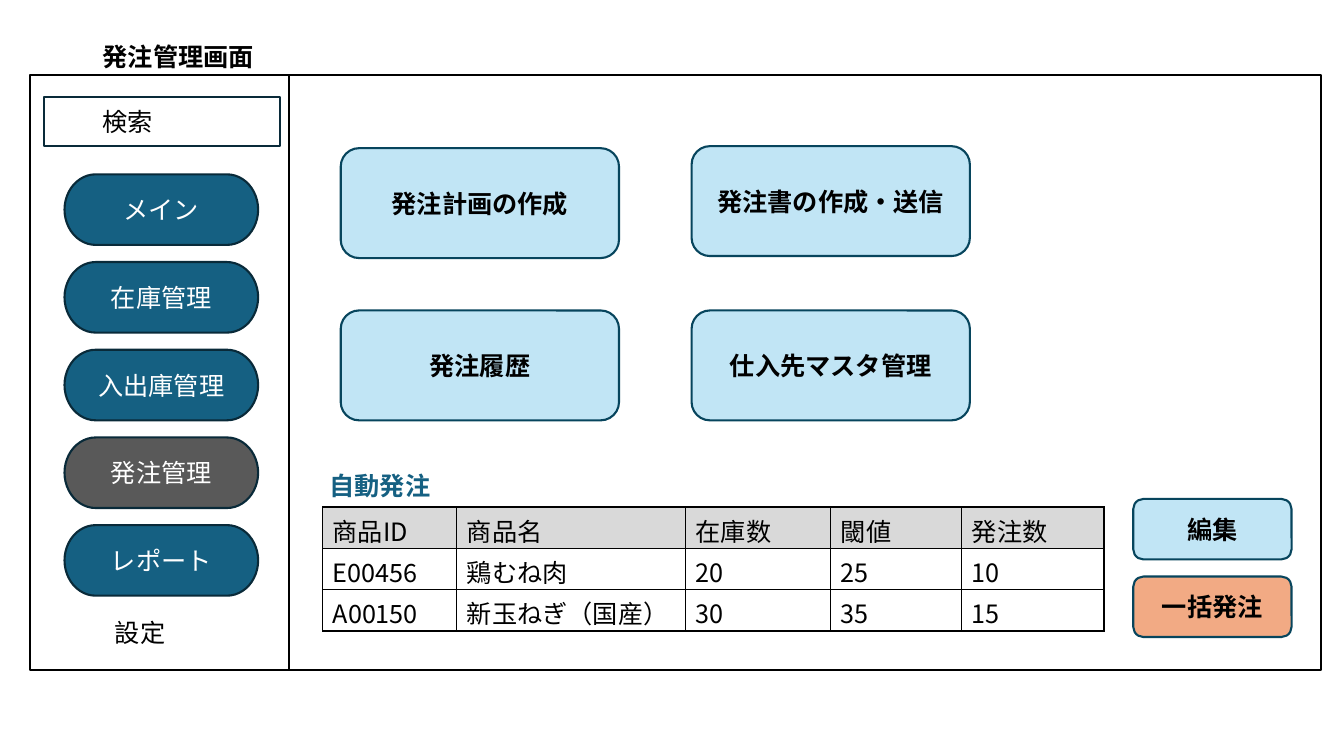
"""Builds the order management screen mock-up slide."""
from lxml import etree
from pptx import Presentation
from pptx.dml.color import RGBColor
from pptx.enum.shapes import MSO_CONNECTOR, MSO_SHAPE
from pptx.enum.text import MSO_ANCHOR, PP_ALIGN
from pptx.oxml.ns import qn
from pptx.util import Inches, Pt

RECTANGLE = MSO_SHAPE.RECTANGLE
ROUNDED = MSO_SHAPE.ROUNDED_RECTANGLE
PILL = MSO_SHAPE.FLOWCHART_TERMINATOR
STRAIGHT = MSO_CONNECTOR.STRAIGHT
TOP, MIDDLE = MSO_ANCHOR.TOP, MSO_ANCHOR.MIDDLE
LEFT, CENTER = PP_ALIGN.LEFT, PP_ALIGN.CENTER

FONT = "Noto Sans CJK JP"
COLORS = {
    "black": "000000", "white": "FFFFFF", "teal": "156082", "navy": "092A39",
    "selected": "595959", "card": "C1E5F5", "card_line": "07455D",
    "order": "F2AA84", "header": "D9D9D9",
}

TITLE = "発注管理画面"
MENU = ["メイン", "在庫管理", "入出庫管理", "発注管理", "レポート"]
SELECTED_MENU = "発注管理"
LABELS = [
    ("設定", (1.04, 6.08, 1.22, 0.4), "black", False),
    ("検索", (0.92, 1.01, 1.22, 0.4), "black", False),
    ("自動発注", (3.17, 4.62, 1.82, 0.4), "teal", True),
]
CARDS = [
    ("発注計画の作成", 3.38, 1.47),
    ("発注書の作成・送信", 6.86, 1.45),
    ("発注履歴", 3.38, 3.08),
    ("仕入先マスタ管理", 6.86, 3.08),
]
ACTIONS = [("編集", "card"), ("一括発注", "order")]
ORDERS = [
    ["商品ID", "商品名", "在庫数", "閾値", "発注数"],
    ["E00456", "鶏むね肉", "20", "25", "10"],
    ["A00150", "新玉ねぎ（国産）", "30", "35", "15"],
]
COLUMN_WIDTHS = [1.33, 2.27, 1.44, 1.3, 1.41]
ROW_HEIGHT = 0.41
FRAME = (0.3, 0.74, 12.8, 5.91)
DIVIDER_X = 2.87


def color(name):
    return RGBColor.from_string(COLORS[name])


def write(text_frame, text, color_name, bold=False, align=LEFT):
    paragraph = text_frame.paragraphs[0]
    paragraph.text = text
    paragraph.alignment = align
    font = paragraph.font
    font.name, font.size, font.bold = FONT, Pt(18), bold
    font.color.rgb = color(color_name)
    properties = paragraph._p.pPr.find(qn("a:defRPr"))
    etree.SubElement(properties, qn("a:ea"), typeface=FONT)
    return paragraph


def add_label(slide, text, box, color_name, bold, anchor=TOP):
    shape = slide.shapes.add_textbox(*map(Inches, box))
    shape.text_frame.word_wrap = True
    shape.text_frame.vertical_anchor = anchor
    return write(shape.text_frame, text, color_name, bold)


def add_box(slide, kind, box, line, fill=None):
    shape = slide.shapes.add_shape(kind, *map(Inches, box))
    shape.shadow.inherit = False
    if fill:
        shape.fill.solid()
        shape.fill.fore_color.rgb = color(fill)
    else:
        shape.fill.background()
    shape.line.color.rgb = color(line)
    shape.line.width = Pt(1.5)
    return shape


def add_button(slide, kind, box, text, fill, line, text_color, bold):
    shape = add_box(slide, kind, box, line, fill)
    shape.text_frame.word_wrap = True
    shape.text_frame.vertical_anchor = MIDDLE
    write(shape.text_frame, text, text_color, bold, CENTER)


def add_borders(cell):
    properties = cell._tc.get_or_add_tcPr()
    for side in ("a:lnL", "a:lnR", "a:lnT", "a:lnB"):
        border = etree.SubElement(properties, qn(side), w=str(Pt(1)))
        fill = etree.SubElement(border, qn("a:solidFill"))
        etree.SubElement(fill, qn("a:srgbClr"), val=COLORS["black"])


def add_orders(slide):
    size = (sum(COLUMN_WIDTHS), ROW_HEIGHT * len(ORDERS))
    table = slide.shapes.add_table(
        len(ORDERS), len(COLUMN_WIDTHS), *map(Inches, (3.2, 5.03, *size))
    ).table
    table.first_row = table.horz_banding = False
    for column, width in zip(table.columns, COLUMN_WIDTHS):
        column.width = Inches(width)
    for row_index, values in enumerate(ORDERS):
        table.rows[row_index].height = Inches(ROW_HEIGHT)
        for column_index, text in enumerate(values):
            cell = table.cell(row_index, column_index)
            write(cell.text_frame, text, "black")
            add_borders(cell)
            cell.fill.solid()
            cell.fill.fore_color.rgb = color("white" if row_index else "header")


def main():
    presentation = Presentation()
    presentation.slide_width = Inches(13.33)
    presentation.slide_height = Inches(7.5)
    slide = presentation.slides.add_slide(presentation.slide_layouts[6])

    title = add_label(slide, TITLE, (0.92, 0.4, 11.5, 0.35), "black", True, MIDDLE)
    title.line_spacing = 0.9
    add_box(slide, RECTANGLE, FRAME, "black")
    top, bottom = FRAME[1], FRAME[1] + FRAME[3]
    divider = slide.shapes.add_connector(
        STRAIGHT, *map(Inches, (DIVIDER_X, top, DIVIDER_X, bottom))
    )
    divider.line.color.rgb = color("black")
    divider.line.width = Pt(1.5)
    etree.SubElement(divider._element.spPr, qn("a:effectLst"))
    add_box(slide, RECTANGLE, (0.44, 0.96, 2.34, 0.49), "navy")

    for index, text in enumerate(MENU):
        box = (0.64, 1.73 + 0.87 * index, 1.92, 0.7)
        fill = "selected" if text == SELECTED_MENU else "teal"
        add_button(slide, PILL, box, text, fill, "navy", "white", False)
    for text, left, card_top in CARDS:
        box = (left, card_top, 2.76, 1.09)
        add_button(slide, ROUNDED, box, text, "card", "card_line", "black", True)
    for index, (text, fill) in enumerate(ACTIONS):
        box = (11.24, 4.95 + 0.77 * index, 1.57, 0.6)
        add_button(slide, ROUNDED, box, text, fill, "card_line", "black", True)
    add_orders(slide)
    for label in LABELS:
        add_label(slide, *label)
    presentation.save("out.pptx")


if __name__ == "__main__":
    main()
